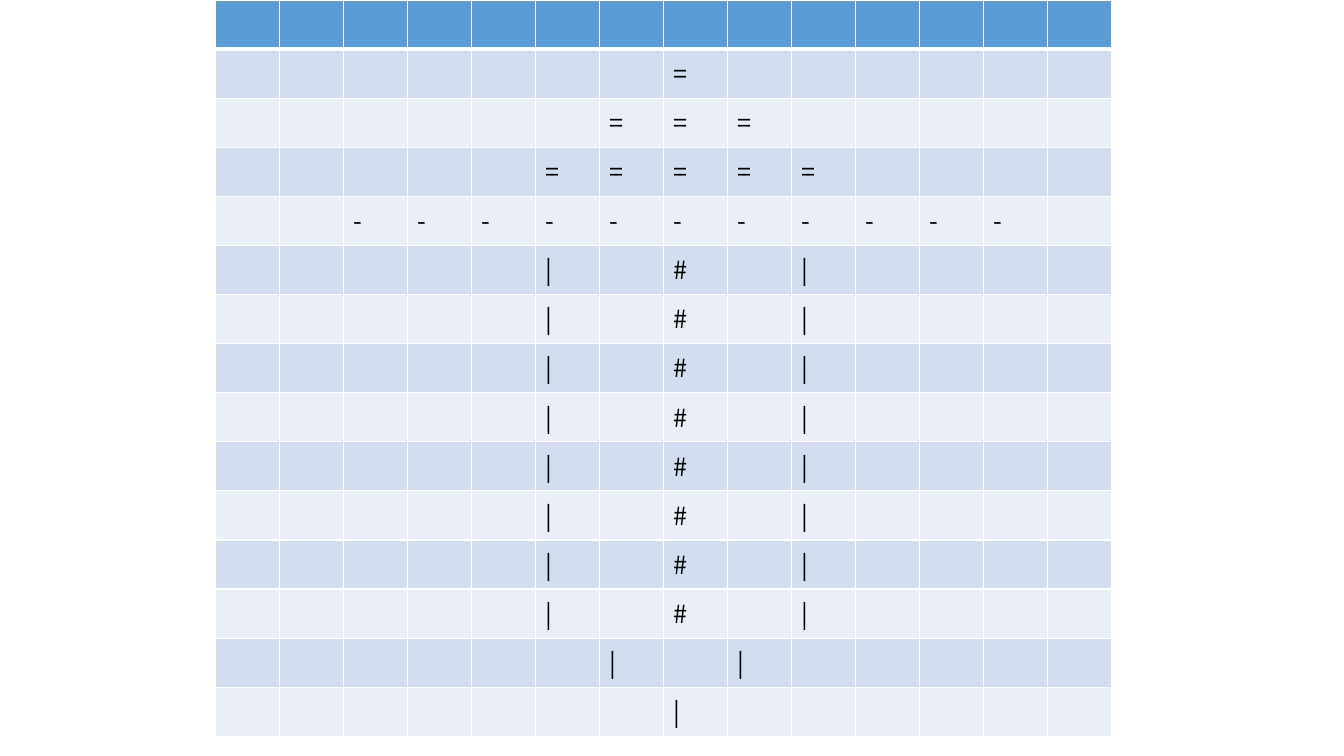
"""Build a slide with a symbol drawing laid out in a table grid."""
from lxml import etree
from pptx import Presentation
from pptx.dml.color import RGBColor
from pptx.oxml.ns import qn
from pptx.util import Inches, Pt

DRAWING = ["", "=", "===", "=====", "-" * 11] + ["| # |"] * 8 + ["| |", "|"]
COLUMNS = 14
CENTRE_COLUMN = 7
GRID = {"left": 2.14, "top": 0, "width": 8.89, "height": 7.31}
COLORS = {"header": "5B9BD5", "odd": "D2DEEF", "even": "EAEFF7",
          "border": "FFFFFF", "symbol": "000000"}
SYMBOL_FONT = {"name": "Noto Sans CJK KR", "size": Pt(18), "bold": False}
THIN, THICK = 1, 3


def add_borders(cell, widths):
    properties = cell._tc.get_or_add_tcPr()
    for side, width in widths.items():
        border = etree.SubElement(properties, qn(f"a:ln{side}"), w=str(Pt(width)))
        fill = etree.SubElement(border, qn("a:solidFill"))
        etree.SubElement(fill, qn("a:srgbClr"), val=COLORS["border"])


def write_symbol(cell, symbol):
    run = cell.text_frame.paragraphs[0].add_run()
    run.text = symbol
    for attribute, value in SYMBOL_FONT.items():
        setattr(run.font, attribute, value)
    run.font.color.rgb = RGBColor.from_string(COLORS["symbol"])


def fill_row(grid, row, symbols):
    band = "header" if row == 0 else "odd" if row % 2 else "even"
    widths = {"L": THIN, "R": THIN,
              "T": THICK if row == 1 else THIN,
              "B": THICK if row == 0 else THIN}
    line = symbols.center(2 * CENTRE_COLUMN + 1)
    for column in range(COLUMNS):
        cell = grid.cell(row, column)
        add_borders(cell, widths)
        cell.fill.solid()
        cell.fill.fore_color.rgb = RGBColor.from_string(COLORS[band])
        if line[column] != " ":
            write_symbol(cell, line[column])


def main():
    deck = Presentation()
    deck.slide_width, deck.slide_height = Inches(13.33), Inches(7.5)
    slide = deck.slides.add_slide(deck.slide_layouts[6])
    bounds = {side: Inches(length) for side, length in GRID.items()}
    grid = slide.shapes.add_table(len(DRAWING), COLUMNS, **bounds).table
    for row, symbols in enumerate(DRAWING):
        fill_row(grid, row, symbols)
    deck.save("out.pptx")


if __name__ == "__main__":
    main()
